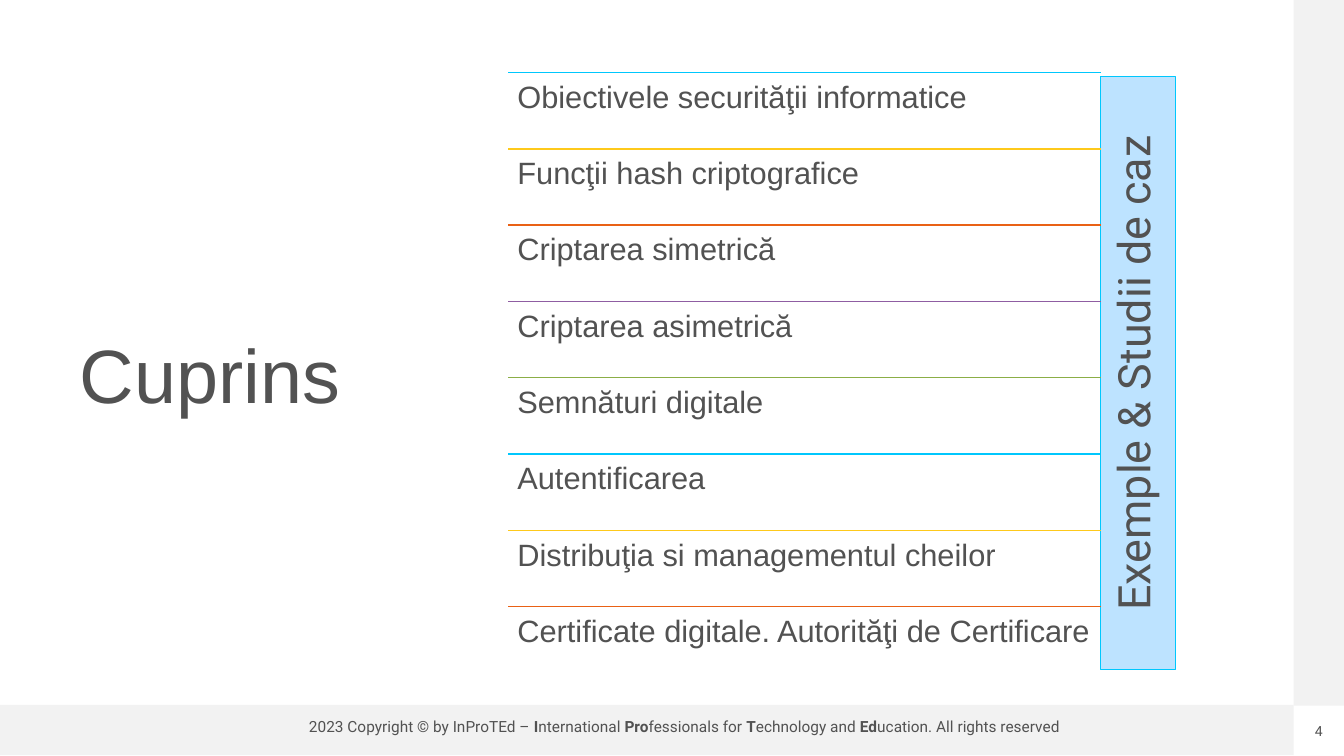
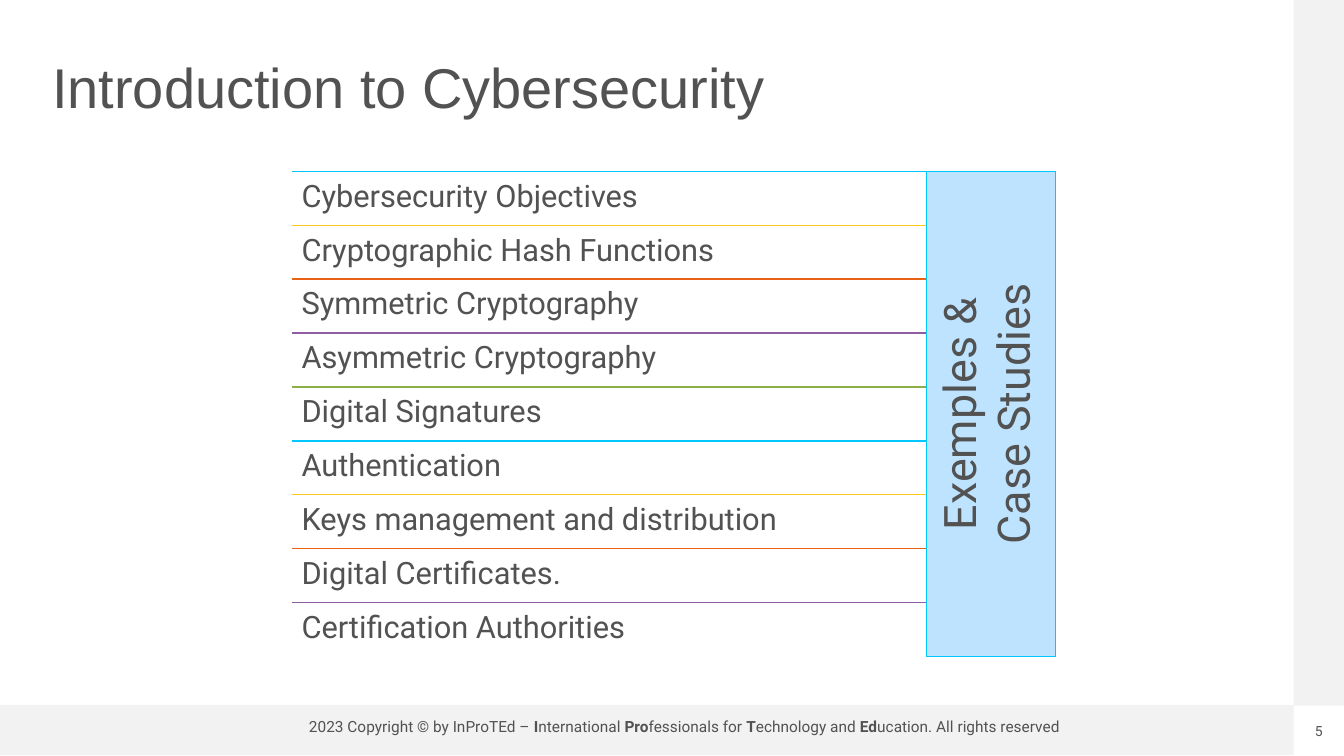
"""Builds two agenda slides with a ruled topic list and a vertical banner."""
from lxml import etree
from pptx import Presentation
from pptx.dml.color import RGBColor
from pptx.enum.shapes import MSO_CONNECTOR, MSO_SHAPE
from pptx.enum.text import MSO_ANCHOR, PP_ALIGN
from pptx.oxml.ns import qn
from pptx.util import Pt

RECT, STRAIGHT = MSO_SHAPE.RECTANGLE, MSO_CONNECTOR.STRAIGHT
TOP, MIDDLE = MSO_ANCHOR.TOP, MSO_ANCHOR.MIDDLE
LEFT, CENTER = PP_ALIGN.LEFT, PP_ALIGN.CENTER

TEXT, BAND, BANNER, CYAN = "525252", "F2F2F2", "BDE3FF", "00C7FD"
RULES = [CYAN, "FEC91B", "E96115", "8F5DA2", "8BAE46"]
BANDS = [(0, 503.5, 924, 36), (924, 0, 36, 504)]
FOOTER = [
    ("2023 Copyright © by InProTEd – ", False), ("I", True), ("nternational ", False),
    ("Pro", True), ("fessionals for ", False), ("T", True), ("echnology and ", False),
    ("Ed", True), ("ucation. All rights reserved", False),
]

SLIDES = [
    dict(
        number="4", title="Cuprins", title_box=(49.7, 50.4, 269.3, 440), title_size=54,
        banner=["Exemple & Studii de caz"], banner_box=(786.2, 54.7, 53.3, 423.4),
        font="Arial", left=363, top=51.8, pitch=54.5,
        topics=[
            "Obiectivele securităţii informatice",
            "Funcţii hash criptografice",
            "Criptarea simetrică",
            "Criptarea asimetrică",
            "Semnături digitale",
            "Autentificarea",
            "Distribuţia si managementul cheilor",
            "Certificate digitale. Autorităţi de Certificare",
        ],
    ),
    dict(
        number="5", title="Introduction to Cybersecurity",
        title_box=(30.2, 17.3, 864, 94.3), title_size=40,
        banner=["Exemples &", "Case Studies"], banner_box=(661.7, 122.4, 92.2, 346.5),
        font="Roboto", left=208.8, top=122.4, pitch=38.5,
        topics=[
            "Cybersecurity Objectives",
            "Cryptographic Hash Functions",
            "Symmetric Cryptography",
            "Asymmetric Cryptography",
            "Digital Signatures",
            "Authentication",
            "Keys management and distribution",
            "Digital Certificates.",
            "Certification Authorities",
        ],
    ),
]


def rgb(value):
    """Return the colour for a hex string."""
    return RGBColor.from_string(value)


def write(shape, lines, font, size, align=LEFT, anchor=TOP, inset=(7.2, 3.6), spacing=1.0):
    """Fill a shape with paragraphs, each a list of (text, bold) runs."""
    tf = shape.text_frame
    tf.word_wrap = True
    tf.vertical_anchor = anchor
    tf.margin_left = tf.margin_right = Pt(inset[0])
    tf.margin_top = tf.margin_bottom = Pt(inset[1])
    for i, runs in enumerate(lines):
        p = tf.add_paragraph() if i else tf.paragraphs[0]
        p.alignment = align
        p.line_spacing = spacing
        p.font.name, p.font.size = font, Pt(size)
        p.font.color.rgb = rgb(TEXT)
        for text, bold in runs:
            r = p.add_run()
            r.text = text
            if bold:
                r.font.bold = True


prs = Presentation()
prs.slide_width, prs.slide_height = Pt(960), Pt(540)

for page in SLIDES:
    s = prs.slides.add_slide(prs.slide_layouts[6])

    for box in BANDS:
        sp = s.shapes.add_shape(RECT, *map(Pt, box))
        sp.shadow.inherit = False
        sp.fill.solid()
        sp.fill.fore_color.rgb = rgb(BAND)
        sp.line.fill.background()

    number = s.shapes.add_textbox(Pt(924), Pt(516.2), Pt(36), Pt(12.2))
    write(number, [[(page["number"], False)]], "Roboto", 10, CENTER, inset=(0, 0))
    footer = s.shapes.add_textbox(Pt(211.7), Pt(509), Pt(554.4), Pt(20.9))
    write(footer, [FOOTER], "Roboto", 11, CENTER)
    title = s.shapes.add_textbox(*map(Pt, page["title_box"]))
    write(title, [[(page["title"], False)]], "Arial", page["title_size"],
          anchor=MIDDLE, spacing=0.9)

    banner = s.shapes.add_shape(RECT, *map(Pt, page["banner_box"]))
    banner.shadow.inherit = False
    banner.fill.solid()
    banner.fill.fore_color.rgb = rgb(BANNER)
    banner.line.color.rgb = rgb(CYAN)
    banner.line.width = Pt(0.75)
    write(banner, [[(line, False)] for line in page["banner"]], "Roboto", 32, CENTER)
    banner.element.txBody.find(qn("a:bodyPr")).set("vert", "vert270")

    left, right = page["left"], page["banner_box"][0]
    for i, topic in enumerate(page["topics"]):
        y = page["top"] + i * page["pitch"]
        rule = s.shapes.add_connector(STRAIGHT, Pt(left), Pt(y), Pt(right), Pt(y))
        rule.line.color.rgb = rgb(RULES[i % len(RULES)])
        rule.line.width = Pt(1)
        etree.SubElement(rule.element.spPr, qn("a:effectLst"))
        row = s.shapes.add_textbox(Pt(left), Pt(y), Pt(right - left), Pt(page["pitch"]))
        write(row, [[(topic, False)]], page["font"], 22, inset=(6.6, 6.6), spacing=0.9)

prs.save("out.pptx")
